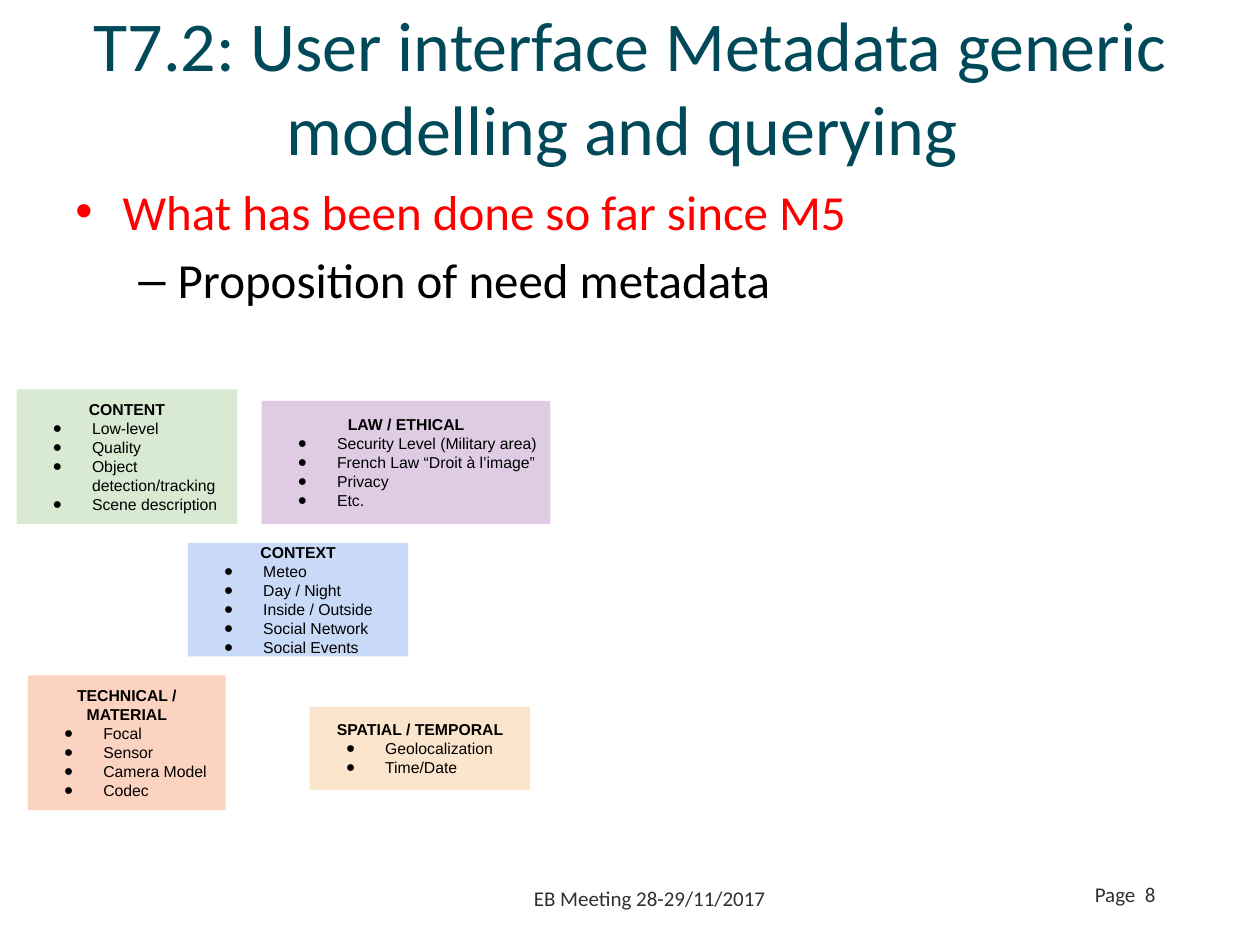
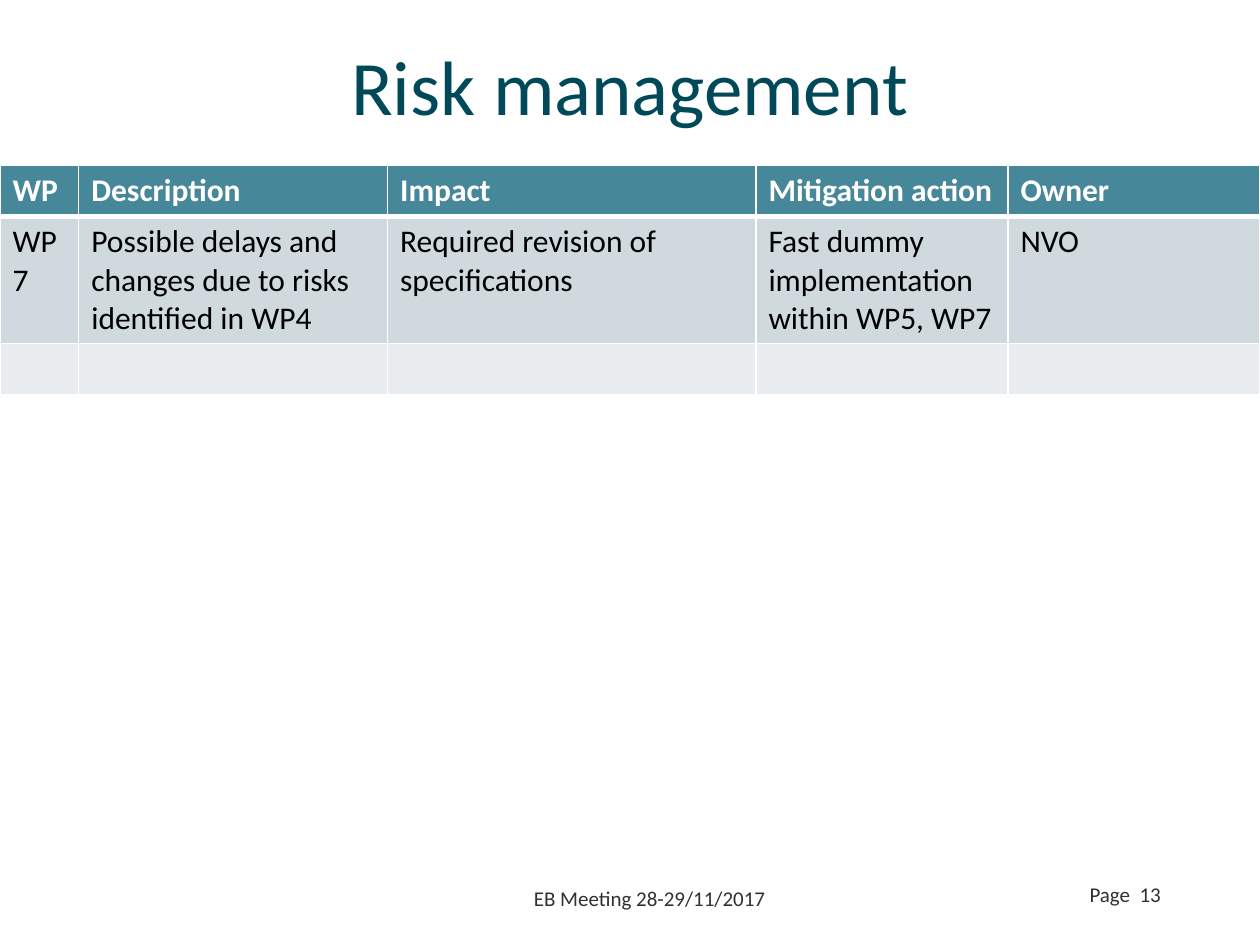
from lxml.etree import SubElement
from pptx import Presentation
from pptx.dml.color import RGBColor
from pptx.enum.shapes import MSO_SHAPE
from pptx.enum.text import MSO_ANCHOR, MSO_AUTO_SIZE, PP_ALIGN
from pptx.oxml.ns import qn
from pptx.util import Pt

TEAL = RGBColor(0x00, 0x49, 0x59)
GREY = RGBColor(0x30, 0x30, 0x30)
RED = RGBColor(0xFF, 0x00, 0x00)
BLACK = RGBColor(0x00, 0x00, 0x00)
WHITE = RGBColor(0xFF, 0xFF, 0xFF)
GREEN_FILL = RGBColor(0xD9, 0xEA, 0xD3)
PURPLE_FILL = RGBColor(0xDF, 0xCC, 0xE4)
BLUE_FILL = RGBColor(0xC9, 0xDA, 0xF8)
SALMON_FILL = RGBColor(0xFC, 0xD3, 0xC1)
ORANGE_FILL = RGBColor(0xFC, 0xE5, 0xCD)
HEADER_FILL = RGBColor(0x47, 0x87, 0x9A)
ROW_FILLS = [RGBColor(0xCF, 0xD9, 0xDE), RGBColor(0xE9, 0xED, 0xEF)]

TITLE_BOX = (36, 3.6, 648, 90)
BODY_BOX = (36, 100, 648, 77)
FOOTER_BOX = (292, 499, 152.5, 28.8)
PAGE_BOX = (604, 496.8, 78, 28.8)
TABLE_BOX = (0, 94.5, 720, 130)

METADATA_GROUPS = [
    ("SPATIAL / TEMPORAL", ["Geolocalization", "Time/Date"], ORANGE_FILL, (177, 404, 126, 47.5)),
    ("TECHNICAL / MATERIAL", ["Focal", "Sensor", "Camera Model", "Codec"], SALMON_FILL, (16, 386, 113, 77)),
    ("CONTENT", ["Low-level", "Quality", "Object detection/tracking", "Scene description"],
     GREEN_FILL, (9.5, 222.5, 126, 77)),
    ("LAW / ETHICAL", ["Security Level (Military area)", "French Law “Droit à l’image”", "Privacy", "Etc."],
     PURPLE_FILL, (149.5, 229, 165, 70.5)),
    ("CONTEXT", ["Meteo", "Day / Night", "Inside / Outside", "Social Network", "Social Events"],
     BLUE_FILL, (107.3, 310.3, 126, 64.8)),
]

RISK_COLUMNS = [45, 176.5, 210.5, 144, 144]
RISK_ROWS = [
    ["WP", "Description", "Impact", "Mitigation action", "Owner"],
    ["WP7", "Possible delays and changes due to risks identified in WP4",
     "Required revision of specifications", "Fast dummy implementation within WP5, WP7", "NVO"],
    [""] * 5,
]
RISK_HEIGHTS = [29.2, 72.5, 29.2]


def in_points(box):
    return [Pt(v) for v in box]


def format_runs(p, size, color, font="Calibri", bold=False):
    for r in p.runs:
        r.font.name, r.font.size, r.font.bold = font, Pt(size), bold
        r.font.color.rgb = color


def add_bullet(p, char, color, margin, indent):
    pPr = p._p.get_or_add_pPr()
    pPr.set("marL", str(Pt(margin)))
    pPr.set("indent", str(Pt(indent)))
    clr = SubElement(pPr, qn("a:buClr"))
    SubElement(clr, qn("a:srgbClr")).set("val", str(color))
    SubElement(pPr, qn("a:buFont")).set("typeface", "Arial")
    SubElement(pPr, qn("a:buChar")).set("char", char)


def add_bottom_border(cell, width, color):
    tcPr = cell._tc.get_or_add_tcPr()
    ln = SubElement(tcPr, qn("a:lnB"))
    ln.set("w", str(Pt(width)))
    fill = SubElement(ln, qn("a:solidFill"))
    SubElement(fill, qn("a:srgbClr")).set("val", str(color))
    tcPr.insert(0, ln)


def add_label(s, text, box, align):
    tf = s.shapes.add_textbox(*in_points(box)).text_frame
    tf.word_wrap = True
    tf.vertical_anchor = MSO_ANCHOR.MIDDLE
    tf.text = text
    p = tf.paragraphs[0]
    p.alignment = align
    format_runs(p, 12, GREY)


def add_titled_slide(prs, title, size, page):
    s = prs.slides.add_slide(prs.slide_layouts[5])
    sp = s.shapes.title
    sp.left, sp.top, sp.width, sp.height = in_points(TITLE_BOX)
    tf = sp.text_frame
    tf.text = title
    tf.auto_size = MSO_AUTO_SIZE.NONE
    tf.vertical_anchor = MSO_ANCHOR.MIDDLE
    p = tf.paragraphs[0]
    p.alignment = PP_ALIGN.CENTER
    format_runs(p, size, TEAL)
    add_label(s, "EB Meeting 28-29/11/2017", FOOTER_BOX, PP_ALIGN.RIGHT)
    add_label(s, f"Page  {page}", PAGE_BOX, PP_ALIGN.CENTER)
    return s


def add_progress_points(s, box):
    tf = s.shapes.add_textbox(*in_points(box)).text_frame
    tf.word_wrap = True
    tf.text = "What has been done so far since M5\nProposition of need metadata"
    styles = [("•", RED, 27, -27), ("–", BLACK, 58.5, -22.5)]
    for level, (p, (char, color, margin, indent)) in enumerate(zip(tf.paragraphs, styles)):
        p.level = level
        p.space_before = Pt(5.6)
        add_bullet(p, char, color, margin, indent)
        format_runs(p, 28, color)


def add_metadata_group(s, heading, items, fill, box):
    sp = s.shapes.add_shape(MSO_SHAPE.RECTANGLE, *in_points(box))
    sp.shadow.inherit = False
    sp.fill.solid()
    sp.fill.fore_color.rgb = fill
    sp.line.fill.background()
    tf = sp.text_frame
    tf.word_wrap = True
    tf.vertical_anchor = MSO_ANCHOR.MIDDLE
    tf.text = "\n".join([heading, *items])
    head, *points = tf.paragraphs
    head.alignment = PP_ALIGN.CENTER
    format_runs(head, 9, BLACK, "Arial", True)
    for p in points:
        p.alignment = PP_ALIGN.LEFT
        add_bullet(p, "●", BLACK, 36, -22.5)
        format_runs(p, 9, BLACK, "Arial")


def add_risk_table(s, box):
    table = s.shapes.add_table(len(RISK_ROWS), len(RISK_COLUMNS), *in_points(box)).table
    for col, width in zip(table.columns, RISK_COLUMNS):
        col.width = Pt(width)
    for i, (row, texts) in enumerate(zip(table.rows, RISK_ROWS)):
        row.height = Pt(RISK_HEIGHTS[i])
        header = i == 0
        for cell, text in zip(row.cells, texts):
            cell.fill.solid()
            cell.fill.fore_color.rgb = HEADER_FILL if header else ROW_FILLS[i - 1]
            if header:
                add_bottom_border(cell, 3, WHITE)
            if text:
                cell.text = text
                format_runs(cell.text_frame.paragraphs[0], 18, WHITE if header else BLACK, bold=header)


def main():
    prs = Presentation()
    prs.slide_width, prs.slide_height = Pt(720), Pt(540)

    s = add_titled_slide(prs, "T7.2: User interface Metadata generic modelling and querying ", 40, 8)
    add_progress_points(s, BODY_BOX)
    for group in METADATA_GROUPS:
        add_metadata_group(s, *group)

    s = add_titled_slide(prs, "Risk management", 44, 13)
    add_risk_table(s, TABLE_BOX)

    prs.save("out.pptx")


if __name__ == "__main__":
    main()
